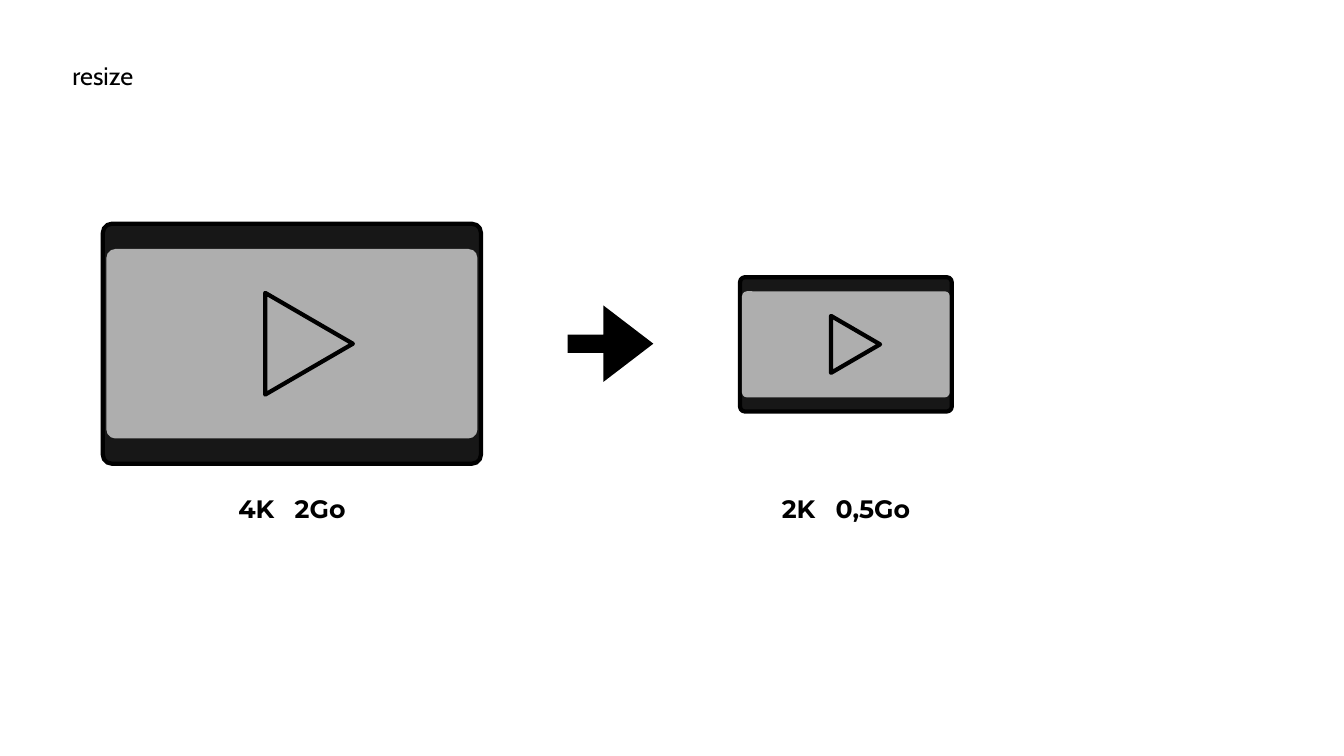
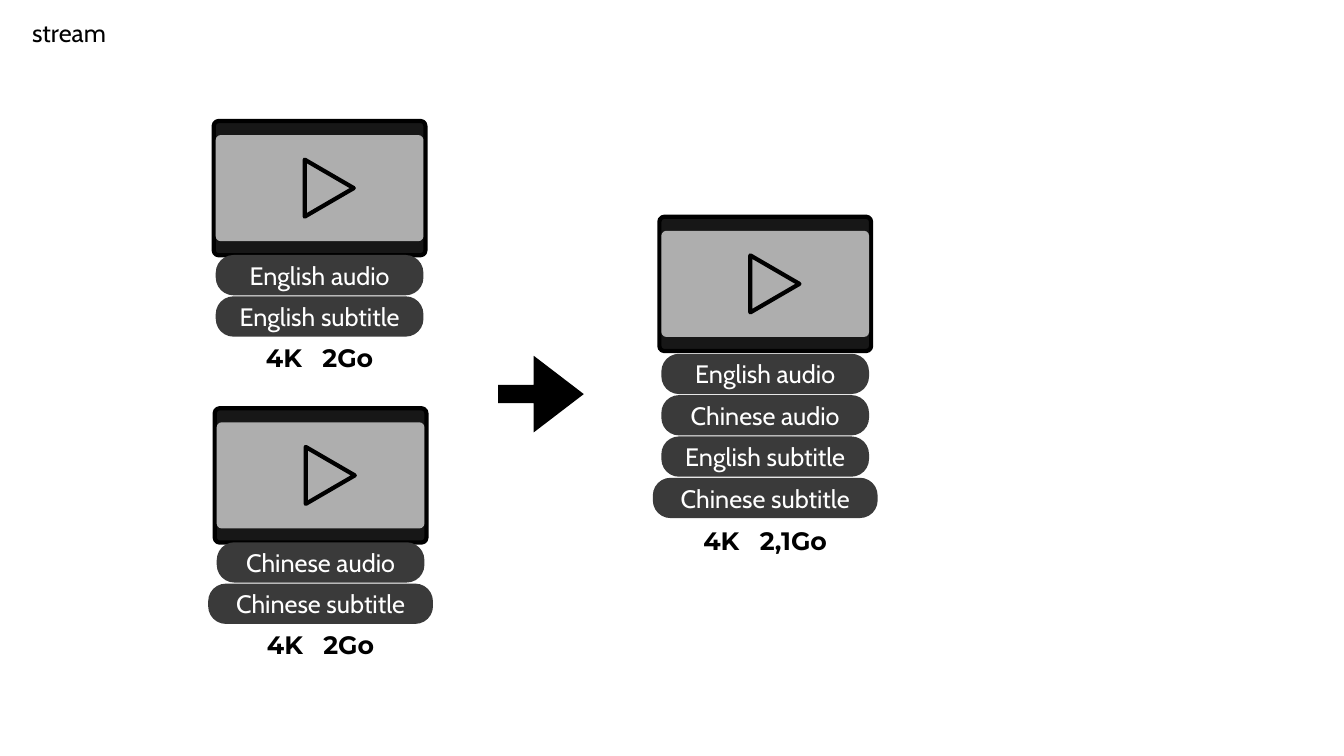
from dataclasses import dataclass

from pptx import Presentation
from pptx.dml.color import RGBColor
from pptx.enum import dml, shapes, text
from pptx.shapes.autoshape import Shape
from pptx.slide import Slide
from pptx.util import Inches, Pt

BLACK = RGBColor(0x00, 0x00, 0x00)
WHITE = RGBColor(0xFF, 0xFF, 0xFF)
FRAME_DARK = RGBColor(0x17, 0x17, 0x17)
SCREEN_GREY = RGBColor(0xAE, 0xAE, 0xAE)
PILL_GREY = RGBColor(0x3A, 0x3A, 0x3A)

BODY_FONT = "Cabin"
LABEL_FONT = "Montserrat"
FONT_SIZE = Pt(18)
LABEL_GAP = 950  # extra spacing after the space, in hundredths of a point

FRAME_WIDTH, FRAME_HEIGHT = 3.75, 2.38
SCREEN_WIDTH, SCREEN_HEIGHT = 3.68, 1.88
PLAY_WIDTH, PLAY_HEIGHT = 1.01, 0.87
PLAY_SHIFT = 0.17
SMALL = 0.56

TEXT_HEIGHT = 0.4
PILL_PITCH = 0.41
PILL_WIDTH, WIDE_PILL_WIDTH = 2.06, 2.23


@dataclass(frozen=True)
class Video:
    left: float
    top: float
    resolution: str
    file_size: str
    label_top: float
    label_width: float = 1.88
    scale: float = SMALL
    streams: tuple[str, ...] = ()
    streams_top: float = 0.0

    @property
    def center_x(self) -> float:
        return self.left + FRAME_WIDTH * self.scale / 2

    @property
    def center_y(self) -> float:
        return self.top + FRAME_HEIGHT * self.scale / 2


@dataclass(frozen=True)
class Scene:
    title: str
    title_left: float
    title_top: float
    arrow_left: float
    arrow_top: float
    videos: tuple[Video, ...]


SCENES = (
    Scene("resize", 0.62, 0.55, 5.63, 3.03, (
        Video(1.02, 2.22, "4K", "2Go", 4.84, scale=1),
        Video(7.34, 2.75, "2K", "0,5Go", 4.84),
    )),
    Scene("stream", 0.22, 0.12, 4.94, 3.53, (
        Video(2.12, 1.2, "4K", "2Go", 3.35, 1.56,
              streams=("English audio", "English subtitle"), streams_top=2.53),
        Video(2.13, 4.05, "4K", "2Go", 6.19, 1.56,
              streams=("Chinese audio", "Chinese subtitle"), streams_top=5.38),
        Video(6.54, 2.15, "4K", "2,1Go", 5.16, 1.66,
              streams=("English audio", "Chinese audio",
                       "English subtitle", "Chinese subtitle"),
              streams_top=3.51),
    )),
)


def add_plain_shape(container, kind: shapes.MSO_SHAPE, left: float, top: float,
                    width: float, height: float, color: RGBColor,
                    adjustments: tuple[float, ...] = ()) -> Shape:
    """Add a solid shape without outline or shadow."""
    shape = container.add_shape(kind, Inches(left), Inches(top),
                                Inches(width), Inches(height))
    shape.shadow.inherit = False
    shape.fill.solid()
    shape.fill.fore_color.rgb = color
    shape.line.fill.background()
    for index, value in enumerate(adjustments):
        shape.adjustments[index] = value
    return shape


def add_outline(shape: Shape) -> None:
    shape.line.color.rgb = BLACK
    shape.line.width = Pt(3)


def format_runs(shape: Shape, font_name: str, color: RGBColor,
                bold: bool = False) -> None:
    for run in shape.text_frame.paragraphs[0].runs:
        run.font.name = font_name
        run.font.size = FONT_SIZE
        run.font.bold = bold
        run.font.color.rgb = color


def add_text_box(slide: Slide, left: float, top: float, width: float) -> Shape:
    box = slide.shapes.add_textbox(Inches(left), Inches(top),
                                   Inches(width), Inches(TEXT_HEIGHT))
    box.text_frame.word_wrap = True
    box.text_frame.auto_size = text.MSO_AUTO_SIZE.SHAPE_TO_FIT_TEXT
    return box


def add_title(slide: Slide, scene: Scene) -> None:
    box = add_text_box(slide, scene.title_left, scene.title_top, 3.1)
    box.text_frame.text = scene.title
    format_runs(box, BODY_FONT, BLACK)


def add_player(slide: Slide, video: Video) -> None:
    """Add the grouped film frame, screen and play symbol."""
    group = slide.shapes.add_group_shape().shapes

    def add_part(kind: shapes.MSO_SHAPE, width: float, height: float,
                 adjustments: tuple[float, ...] = (), shift: float = 0) -> Shape:
        width, height = width * video.scale, height * video.scale
        left = video.center_x + shift * video.scale - width / 2
        return add_plain_shape(group, kind, left, video.center_y - height / 2,
                               width, height, SCREEN_GREY, adjustments)

    rounded = shapes.MSO_SHAPE.ROUNDED_RECTANGLE
    frame = add_part(rounded, FRAME_WIDTH, FRAME_HEIGHT, (0.037,))
    frame.fill.patterned()
    frame.fill.pattern = dml.MSO_PATTERN.DARK_VERTICAL
    frame.fill.fore_color.rgb = FRAME_DARK
    frame.fill.back_color.rgb = SCREEN_GREY
    add_outline(frame)

    add_part(rounded, SCREEN_WIDTH, SCREEN_HEIGHT, (0.047,))

    play = add_part(shapes.MSO_SHAPE.ISOSCELES_TRIANGLE, PLAY_WIDTH, PLAY_HEIGHT,
                    shift=PLAY_SHIFT)
    play.rotation = 90
    add_outline(play)


def add_stream_pill(slide: Slide, name: str, center_x: float, top: float) -> None:
    width = WIDE_PILL_WIDTH if name == "Chinese subtitle" else PILL_WIDTH
    pill = add_plain_shape(slide.shapes, shapes.MSO_SHAPE.ROUNDED_RECTANGLE,
                           center_x - width / 2, top, width, TEXT_HEIGHT,
                           PILL_GREY, (0.439,))
    pill.text_frame.text = name
    pill.text_frame.vertical_anchor = text.MSO_ANCHOR.MIDDLE
    pill.text_frame.paragraphs[0].alignment = text.PP_ALIGN.CENTER
    format_runs(pill, BODY_FONT, WHITE)


def add_label(slide: Slide, video: Video) -> None:
    """Add resolution and file size, parted by one widened space."""
    box = add_text_box(slide, video.center_x - video.label_width / 2,
                       video.label_top, video.label_width)
    paragraph = box.text_frame.paragraphs[0]
    paragraph.alignment = text.PP_ALIGN.CENTER
    for part in (video.resolution, " ", video.file_size):
        paragraph.add_run().text = part
    format_runs(box, LABEL_FONT, BLACK, bold=True)
    paragraph.runs[1].font._element.set("spc", str(LABEL_GAP))


def add_video(slide: Slide, video: Video) -> None:
    add_player(slide, video)
    for index, name in enumerate(video.streams):
        add_stream_pill(slide, name, video.center_x,
                        video.streams_top + index * PILL_PITCH)
    add_label(slide, video)


def add_scene(presentation: Presentation, scene: Scene) -> None:
    slide = presentation.slides.add_slide(presentation.slide_layouts[6])
    add_title(slide, scene)
    for video in scene.videos:
        add_video(slide, video)
    add_plain_shape(slide.shapes, shapes.MSO_SHAPE.RIGHT_ARROW, scene.arrow_left,
                    scene.arrow_top, 0.85, 0.76, BLACK, (0.238, 0.653))


def main() -> None:
    presentation = Presentation()
    presentation.slide_width = Inches(13.33)
    presentation.slide_height = Inches(7.5)
    for scene in SCENES:
        add_scene(presentation, scene)
    presentation.save("out.pptx")


if __name__ == "__main__":
    main()
